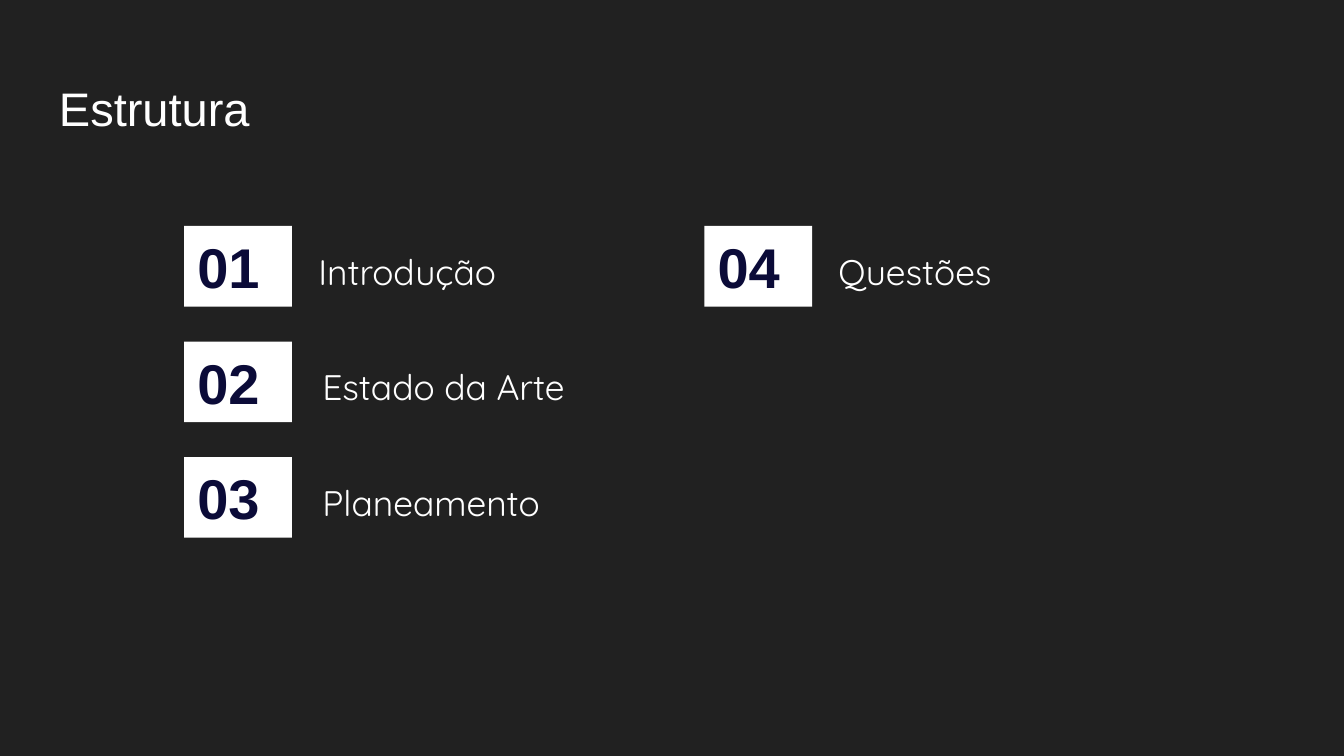
from pptx import Presentation
from pptx.dml.color import RGBColor
from pptx.enum.shapes import MSO_SHAPE
from pptx.enum.text import MSO_ANCHOR, PP_ALIGN
from pptx.util import Pt

RECT = MSO_SHAPE.RECTANGLE
TOP, MIDDLE, BOTTOM = MSO_ANCHOR.TOP, MSO_ANCHOR.MIDDLE, MSO_ANCHOR.BOTTOM
LEFT = PP_ALIGN.LEFT

DARK, WHITE, NAVY = "212121", "FFFFFF", "0B0B38"
INSET = 7.2
COL_X = (98.64, 377.28)
ROW_Y, ROW_STEP = 121.1, 61.92
# topic, column, row, distance from number box to label
TOPICS = (
    ("Introdução", 0, 0, 64.8),
    ("Estado da Arte", 0, 1, 67),
    ("Planeamento", 0, 2, 67),
    ("Questões", 1, 0, 64.8),
)


def paint(fill, color):
    fill.solid()
    fill.fore_color.rgb = RGBColor.from_string(color)


def write(shape, text, font="Arial", size=19, color=WHITE, bold=False, anchor=TOP):
    frame = shape.text_frame
    frame.word_wrap = True
    frame.vertical_anchor = anchor
    frame.margin_left = frame.margin_right = Pt(INSET)
    frame.margin_top = frame.margin_bottom = Pt(INSET)
    para = frame.paragraphs[0]
    para.alignment = LEFT
    run = para.add_run()
    run.text = text
    run.font.name = font
    run.font.size = Pt(size)
    run.font.bold = bold
    run.font.color.rgb = RGBColor.from_string(color)


def add_text(slide, text, x, y, w, h, **style):
    box = slide.shapes.add_textbox(Pt(x), Pt(y), Pt(w), Pt(h))
    write(box, text, **style)


def add_number(slide, text, x, y):
    box = slide.shapes.add_shape(RECT, Pt(x), Pt(y), Pt(57.8), Pt(43.2))
    box.shadow.inherit = False
    box.line.fill.background()
    paint(box.fill, WHITE)
    write(box, text, size=30, color=NAVY, bold=True, anchor=MIDDLE)


def add_topic(slide, number, label, col, row, gap):
    x, y = COL_X[col], ROW_Y + row * ROW_STEP
    add_text(slide, label, x + gap, y + 1, 180, 41.76,
             font="Quicksand", anchor=BOTTOM)
    add_number(slide, f"{number:02}", x, y)


def main():
    deck = Presentation()
    deck.slide_width, deck.slide_height = Pt(720), Pt(405)
    slide = deck.slides.add_slide(deck.slide_layouts[6])
    paint(slide.background.fill, DARK)
    add_text(slide, "Estrutura", 24.5, 35.28, 671, 45.36, size=25.2)
    for number, topic in enumerate(TOPICS, 1):
        add_topic(slide, number, *topic)
    deck.save("out.pptx")


if __name__ == "__main__":
    main()
